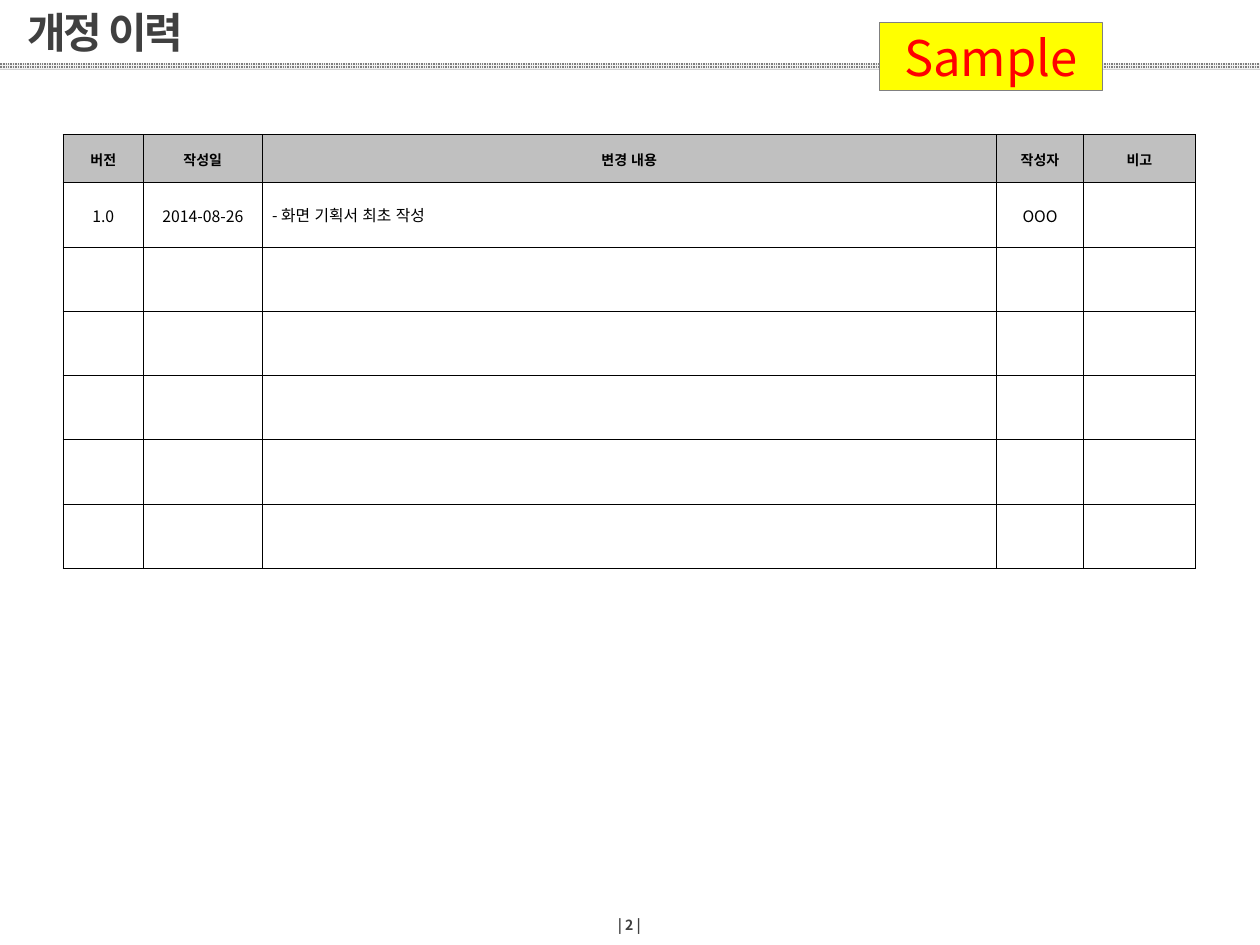
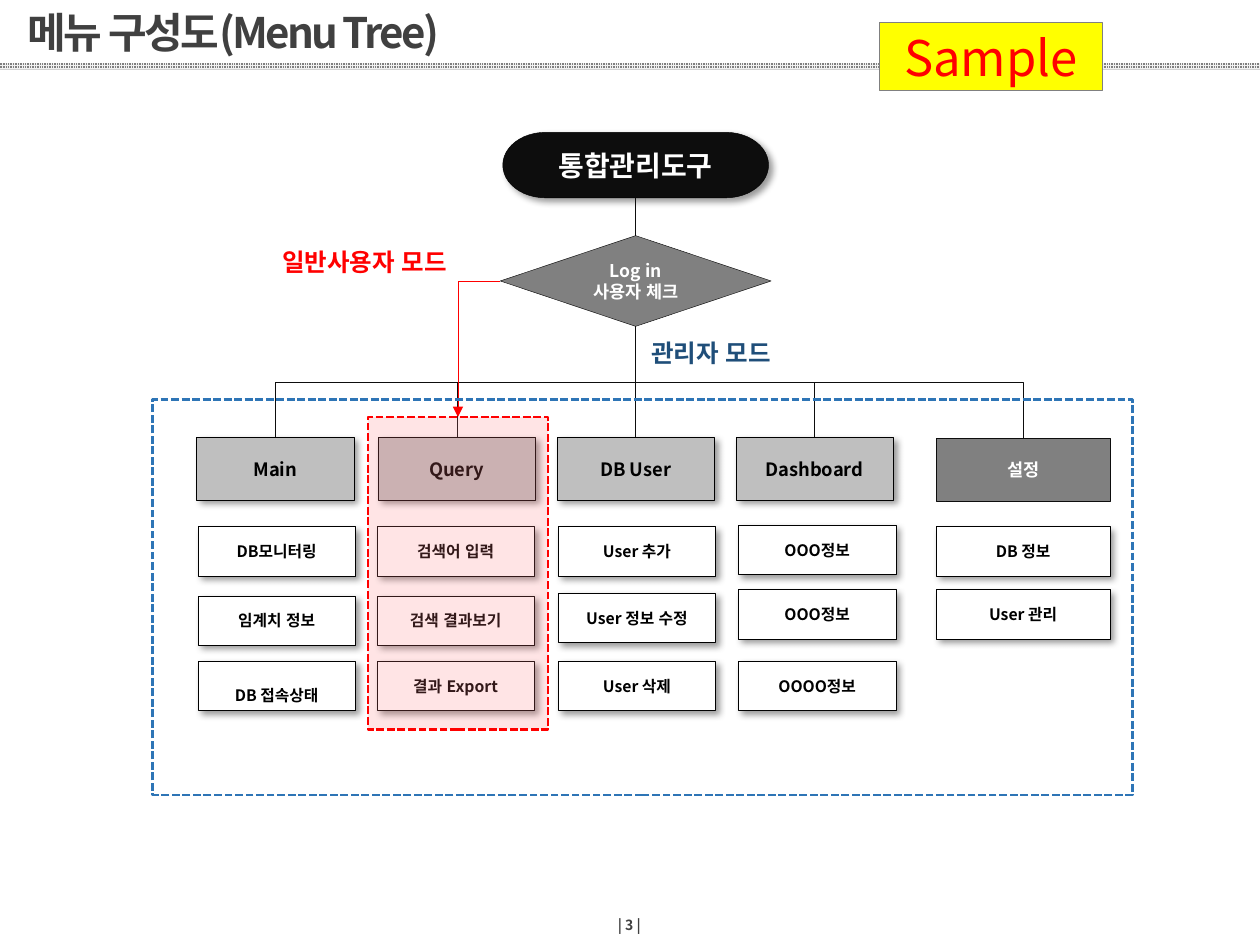
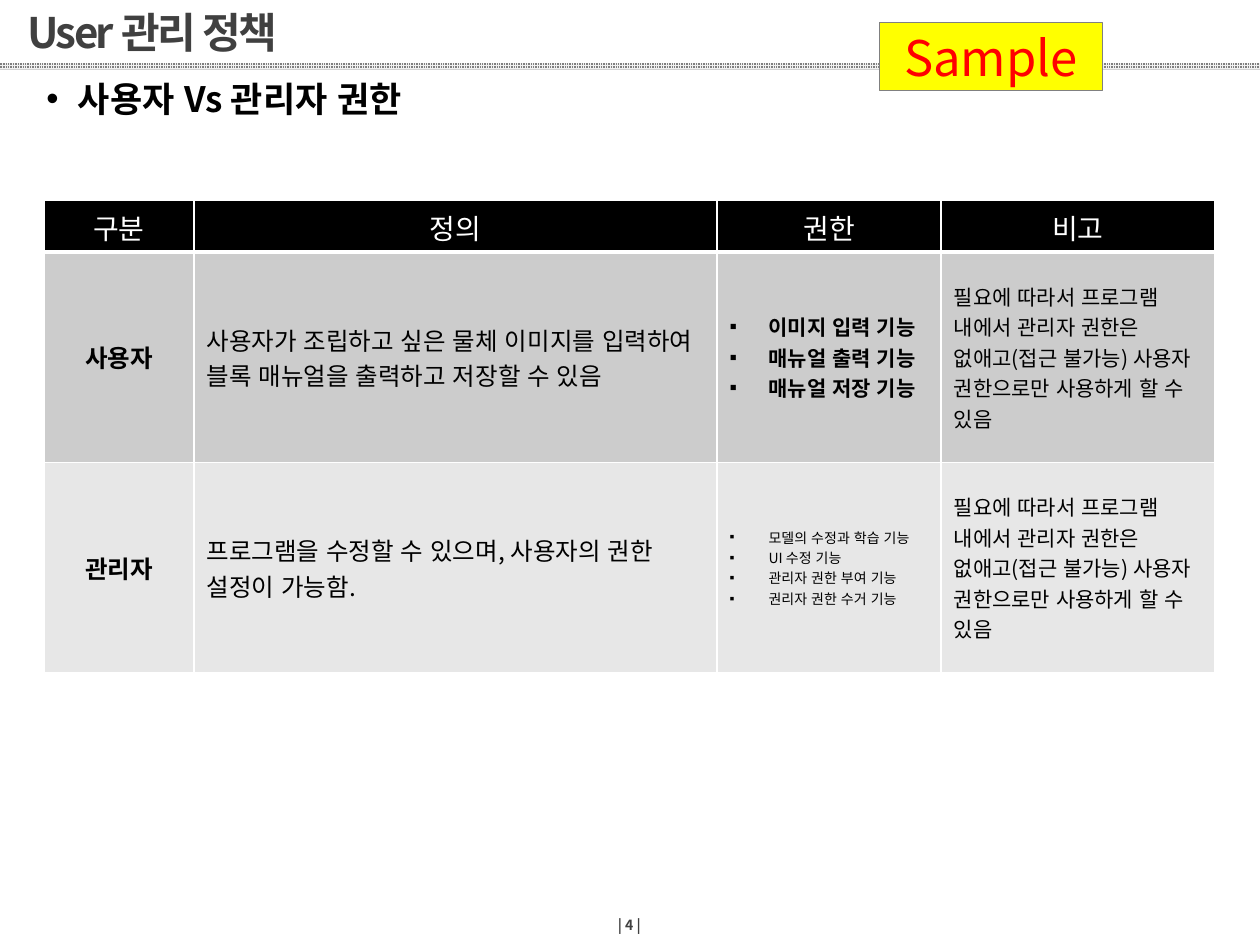
from dataclasses import dataclass, replace
from typing import NamedTuple, Optional

import pptx
import pptx.dml.color
import pptx.enum.dml
import pptx.enum.lang
import pptx.enum.shapes
import pptx.enum.text
import pptx.oxml
import pptx.oxml.ns
import pptx.util
from lxml import etree

RGB = pptx.dml.color.RGBColor
SHAPE = pptx.enum.shapes.MSO_SHAPE
CONNECTOR = pptx.enum.shapes.MSO_CONNECTOR
ALIGN = pptx.enum.text.PP_ALIGN
ANCHOR = pptx.enum.text.MSO_ANCHOR
Pt = pptx.util.Pt
qn = pptx.oxml.ns.qn

FONT = "Noto Sans CJK KR"
BLACK = RGB(0x00, 0x00, 0x00)
INK = RGB(0x0D, 0x0D, 0x0D)
WHITE = RGB(0xFF, 0xFF, 0xFF)
DARK = RGB(0x40, 0x40, 0x40)
GREY = RGB(0x80, 0x80, 0x80)
SILVER = RGB(0xBF, 0xBF, 0xBF)
HEAD_GREY = RGB(0xC0, 0xC0, 0xC0)
PALE = RGB(0xF2, 0xF2, 0xF2)
ROW_DARK = RGB(0xCC, 0xCC, 0xCC)
ROW_LIGHT = RGB(0xE7, 0xE7, 0xE7)
RED = RGB(0xFF, 0x00, 0x00)
ROSE = RGB(0xFF, 0x7C, 0x80)
YELLOW = RGB(0xFF, 0xFF, 0x00)
BLUE = RGB(0x2E, 0x75, 0xB6)
NAVY = RGB(0x1F, 0x4E, 0x79)

# The page grid: 100 columns by 75 rows of square units.
COLS, ROWS = 100, 75
SLIDE_W, SLIDE_H = pptx.util.Inches(10), pptx.util.Inches(7.5)
UNIT = SLIDE_W // COLS


class Box(NamedTuple):
    """A place on the page grid."""
    col: float
    row: float
    cols: float
    rows: float


@dataclass(frozen=True)
class Style:
    """How a paragraph and its run look."""
    size: float
    color: RGB = BLACK
    bold: bool = False
    align: Optional[ALIGN] = ALIGN.CENTER
    leading: Optional[float] = None
    before: float = 0
    tracking: int = 0
    bullet: str = ""
    indent: float = 0


@dataclass(frozen=True)
class Look:
    """Fill, outline and shadow of a shape."""
    fill: Optional[RGB] = None
    line: Optional[RGB] = BLACK
    width: float = 0.25
    dashed: bool = False
    shadow: bool = False
    alpha: int = 100


@dataclass(frozen=True)
class Cell:
    """Content and dress of a table cell."""
    lines: tuple = ()
    style: Style = Style(9)
    fill: Optional[RGB] = None
    margins: tuple = (1, 0.5, 1, 0.5)


@dataclass(frozen=True)
class Menu:
    """One branch of the menu tree."""
    title: str
    col: float
    item_col: float
    tops: tuple
    items: tuple
    cols: float = 12.5
    settings: bool = False


TITLE = Style(24, DARK, True, ALIGN.LEFT, 0.9, tracking=-150)
PAGE_NUMBER = Style(8, DARK, True)
STAMP = Style(28, RED)
HEADING = Style(20, BLACK, True, ALIGN.LEFT, 0.9, 10, bullet="•", indent=2.5)
NODE = Style(9, BLACK, True)


def units(value: float) -> int:
    """Turn grid units into a length."""
    return round(value * UNIT)


def sub(parent, tag: str, **attrs):
    """Append a DrawingML element."""
    return etree.SubElement(parent, qn(tag), {k: str(v) for k, v in attrs.items()})


def write(tf, lines, style: Style) -> None:
    """Write one paragraph per line in the given style."""
    for i, line in enumerate(lines):
        p = tf.paragraphs[0] if i == 0 else tf.add_paragraph()
        p.alignment = style.align
        if style.leading:
            p.line_spacing = style.leading
        p.space_before = Pt(style.before)
        if style.bullet:
            pPr = p._p.get_or_add_pPr()
            pPr.set("marL", str(units(style.indent)))
            pPr.set("indent", str(-units(style.indent)))
            sub(pPr, "a:buFont", typeface="Arial")
            sub(pPr, "a:buChar", char=style.bullet)
        r = p.add_run()
        r.text = line
        r.font.size, r.font.bold, r.font.name = Pt(style.size), style.bold, FONT
        r.font.color.rgb = style.color
        r.font.language_id = pptx.enum.lang.MSO_LANGUAGE_ID.KOREAN
        rPr = r._r.get_or_add_rPr()
        sub(rPr, "a:ea", typeface=FONT)
        if style.tracking:
            rPr.set("spc", str(style.tracking))


def add_text(s, box: Box, text: str, style: Style, anchor=ANCHOR.MIDDLE, wrap=True):
    """Add a text box."""
    sp = s.shapes.add_textbox(*map(units, box))
    tf = sp.text_frame
    tf.word_wrap, tf.vertical_anchor = wrap, anchor
    write(tf, [text], style)
    return sp


def add_box(s, kind, box: Box, look: Look, lines=(), style=NODE, anchor=ANCHOR.MIDDLE):
    """Add a preset shape with optional text."""
    sp = s.shapes.add_shape(kind, *map(units, box))
    sp.shadow.inherit = False
    if look.fill is None:
        sp.fill.background()
    else:
        sp.fill.solid()
        sp.fill.fore_color.rgb = look.fill
        if look.alpha < 100:
            color = sp._element.spPr.find(qn("a:solidFill"))[0]
            sub(color, "a:alpha", val=look.alpha * 1000)
    if look.line is None:
        sp.line.fill.background()
    else:
        sp.line.color.rgb, sp.line.width = look.line, Pt(look.width)
        if look.dashed:
            sp.line.dash_style = pptx.enum.dml.MSO_LINE.SQUARE_DOT
    if look.shadow:
        effects = sp._element.spPr.find(qn("a:effectLst"))
        outer = sub(effects, "a:outerShdw", blurRad=Pt(4), dist=Pt(3),
                    dir=45 * 60000, algn="tl", rotWithShape=0)
        sub(sub(outer, "a:srgbClr", val=BLACK), "a:alpha", val=40000)
    sp.text_frame.vertical_anchor = anchor
    write(sp.text_frame, lines, style)
    return sp


def add_line(s, kind, x1: float, y1: float, x2: float, y2: float,
             color: RGB = INK, width: float = 0.25):
    """Add a connector between two grid points."""
    c = s.shapes.add_connector(kind, *map(units, (x1, y1, x2, y2)))
    c.line.color.rgb, c.line.width = color, Pt(width)
    sub(c._element.spPr, "a:effectLst")
    return c


def add_drop(s, x1: float, y1: float, x2: float, y2: float) -> None:
    """Add an elbow that leaves downwards: a sideways elbow turned 90 degrees."""
    cx, cy, dx, dy = (x1 + x2) / 2, (y1 + y2) / 2, x2 - x1, y2 - y1
    c = add_line(s, CONNECTOR.ELBOW, cx - dy / 2, cy + dx / 2, cx + dy / 2, cy - dx / 2)
    c._element.spPr.find(qn("a:xfrm")).set("rot", str(90 * 60000))


def set_borders(cell, color: RGB, widths: dict) -> None:
    """Draw the cell's edges, which come before its fill."""
    tcPr = cell._tc.get_or_add_tcPr()
    for i, (side, width) in enumerate(widths.items()):
        ln = sub(tcPr, "a:ln" + side, w=Pt(width))
        sub(sub(ln, "a:solidFill"), "a:srgbClr", val=color)
        tcPr.insert(i, ln)


def add_grid(s, col: float, row: float, widths, heights, cells,
             border: RGB, edge: float, head_edge: float) -> None:
    """Add a table from rows of Cell."""
    frame = s.shapes.add_table(len(heights), len(widths), *map(
        units, (col, row, sum(widths), sum(heights))))
    table = frame.table
    table.first_row = table.horz_banding = False
    for column, width in zip(table.columns, widths):
        column.width = units(width)
    for i, height in enumerate(heights):
        table.rows[i].height = units(height)
        for j, content in enumerate(cells[i]):
            cell = table.cell(i, j)
            cell.vertical_anchor = ANCHOR.MIDDLE
            (cell.margin_left, cell.margin_top,
             cell.margin_right, cell.margin_bottom) = map(units, content.margins)
            if content.fill is None:
                cell.fill.background()
            else:
                cell.fill.solid()
                cell.fill.fore_color.rgb = content.fill
            write(cell.text_frame, content.lines, content.style)
            bottom = head_edge if i == 0 else edge
            set_borders(cell, border, {"L": edge, "R": edge, "T": edge, "B": bottom})


def new_slide(prs, title: str, number: int):
    """Add a slide with the shared band, title, page number and stamp."""
    s = prs.slides.add_slide(prs.slide_layouts[6])
    band = add_box(s, SHAPE.RECTANGLE, Box(0, 5, COLS, 0.5), Look(WHITE, None))
    band.fill.patterned()
    band.fill.pattern = pptx.enum.dml.MSO_PATTERN.SMALL_GRID
    band.fill.fore_color.rgb, band.fill.back_color.rgb = PALE, GREY
    add_text(s, Box(1.2, 0.5, 84.3, 4.5), title, TITLE)
    add_text(s, Box(46.1, 72, 7.7, 2.8), f"| {number} |", PAGE_NUMBER)
    return s


def add_stamp(s) -> None:
    """Add the yellow stamp on top of the slide."""
    add_box(s, SHAPE.RECTANGLE, Box(69.8, 1.8, 17.7, 5.4), Look(YELLOW, GREY),
            ["Sample"], STAMP)


def history_slide(prs) -> None:
    """Build the revision history."""
    s = new_slide(prs, "개정 이력", 2)
    tight = (0.1, 0.1, 0.1, 0)
    head = Cell(style=Style(8, BLACK, True), fill=HEAD_GREY, margins=tight)
    body = Cell(margins=tight)
    note = Cell(("- 화면 기획서 최초 작성",), Style(9, align=ALIGN.LEFT),
                margins=(0.8, 0.2, 0.6, 0.2))
    names = ("버전", "작성일", "변경 내용", "작성자", "비고")
    first = [replace(body, lines=(t,)) for t in ("1.0", "2014-08-26")]
    first += [note, replace(body, lines=("OOO",)), Cell()]
    blank_rows = 5
    cells = [[replace(head, lines=(n,)) for n in names], first]
    cells += [[Cell()] * len(names)] * blank_rows
    add_grid(s, 5, 10.7, (6.4, 9.4, 58.3, 6.9, 8.9),
             [3.8] + [5.1] * (1 + blank_rows), cells, BLACK, 0.5, 0.5)
    add_stamp(s)


MENUS = (
    Menu("Main", 15.6, 15.7, (41.8, 47.3, 52.5),
         ("DB모니터링", "임계치 정보", "DB 접속상태")),
    Menu("Query", 30, 29.9, (41.8, 47.3, 52.5),
         ("검색어 입력", "검색 결과보기", "결과 Export")),
    Menu("DB User", 44.2, 44.3, (41.8, 47.1, 52.5),
         ("User 추가", "User 정보 수정", "User 삭제")),
    Menu("Dashboard", 58.4, 58.6, (41.7, 46.8, 52.5),
         ("OOO정보", "OOO정보", "OOOO정보")),
    Menu("설정", 74.3, 74.3, (41.8, 46.8), ("DB 정보", "User 관리"), 13.8, True),
)


def add_menu(s, menu: Menu, x: float, y: float) -> None:
    """Draw one branch and its connector from the point (x, y)."""
    top = 34.8 if menu.settings else 34.7
    look = Look(GREY, INK) if menu.settings else Look(SILVER, shadow=True)
    style = Style(10, WHITE, True) if menu.settings else Style(10.5, BLACK, True)
    add_drop(s, x, y, menu.col + menu.cols / 2, top)
    add_box(s, SHAPE.FLOWCHART_PROCESS, Box(menu.col, top, menu.cols, 5),
            look, [menu.title], style)
    for item, row in zip(menu.items, menu.tops):
        low = item == "DB 접속상태"
        add_box(s, SHAPE.FLOWCHART_PROCESS, Box(menu.item_col, row, menu.cols, 3.9),
                Look(WHITE, shadow=True), [item],
                replace(NODE, leading=2) if low else NODE,
                ANCHOR.BOTTOM if low else ANCHOR.MIDDLE)


def menu_slide(prs) -> None:
    """Build the menu tree."""
    s = new_slide(prs, "메뉴 구성도(Menu Tree)", 3)
    login = Box(39.7, 18.7, 21.5, 7.2)
    center = login.col + login.cols / 2
    add_box(s, SHAPE.FLOWCHART_TERMINATOR, Box(39.9, 10.5, 21.1, 5.2),
            Look(INK, shadow=True), ["통합관리도구"], Style(16, WHITE, True))
    add_box(s, SHAPE.DIAMOND, login, Look(GREY, INK),
            ["Log in", "사용자 체크"], Style(10, WHITE, True))
    for menu in MENUS:
        add_menu(s, menu, center, login.row + login.rows)
    user_area = Box(29.2, 33.1, 14.3, 24.8)
    add_box(s, SHAPE.RECTANGLE, user_area, Look(ROSE, RED, 1.5, True, alpha=20))
    for box, text, color in ((Box(21.4, 19.1, 16.4, 3.4), "일반사용자 모드", RED),
                             (Box(50.7, 26.3, 12.5, 3.4), "관리자 모드", NAVY)):
        add_text(s, box, text, Style(14, color, True, ALIGN.LEFT), ANCHOR.TOP, False)
    add_line(s, CONNECTOR.STRAIGHT, center, 15.7, center, login.row)
    arrow = add_line(s, CONNECTOR.ELBOW, login.col, login.row + login.rows / 2,
                     user_area.col + user_area.cols / 2, user_area.row, RED, 0.5)
    arrow._element.spPr.find(qn("a:prstGeom")).set("prst", "bentConnector2")
    sub(arrow.line._get_or_add_ln(), "a:tailEnd", type="triangle")
    add_box(s, SHAPE.RECTANGLE, Box(12.1, 31.7, 77.8, 31.4),
            Look(None, BLUE, 1.5, True))
    add_stamp(s)


def policy_slide(prs) -> None:
    """Build the table of user rights."""
    s = new_slide(prs, "User 관리 정책", 4)
    add_text(s, Box(2.7, 6, 94.5, 4.7), "사용자 Vs 관리자 권한", HEADING, ANCHOR.TOP)
    remark = ("필요에 따라서 프로그램 내에서 관리자 권한은 없애고(접근 불가능) "
              "사용자 권한으로만 사용하게 할 수 있음")
    rights = Style(12, BLACK, True, ALIGN.LEFT, bullet="▪", indent=3.1)
    rows = (
        ("사용자", "사용자가 조립하고 싶은 물체 이미지를 입력하여 "
         "블록 매뉴얼을 출력하고 저장할 수 있음",
         ("이미지 입력 기능", "매뉴얼 출력 기능", "매뉴얼 저장 기능"), rights, ROW_DARK),
        ("관리자", "프로그램을 수정할 수 있으며, 사용자의 권한 설정이 가능함.",
         ("모델의 수정과 학습 기능", "UI 수정 기능", "관리자 권한 부여 기능",
          "권리자 권한 수거 기능"), replace(rights, size=8, bold=False), ROW_LIGHT),
    )
    cells = [[Cell((n,), Style(16, WHITE), BLACK) for n in ("구분", "정의", "권한", "비고")]]
    for role, meaning, powers, style, fill in rows:
        cells.append([Cell((role,), Style(14, bold=True), fill),
                      Cell((meaning,), Style(14, align=ALIGN.LEFT), fill),
                      Cell(powers, style, fill),
                      Cell((remark,), Style(12, align=ALIGN.LEFT), fill)])
    add_grid(s, 3.5, 15.9, (11.9, 41.5, 17.8, 21.7), (4.1, 16.7, 16.7),
             cells, WHITE, 1, 3)
    add_stamp(s)


def main() -> None:
    """Build and save the deck."""
    prs = pptx.Presentation()
    prs.slide_width, prs.slide_height = SLIDE_W, SLIDE_H
    history_slide(prs)
    menu_slide(prs)
    policy_slide(prs)
    prs.save("out.pptx")


main()
